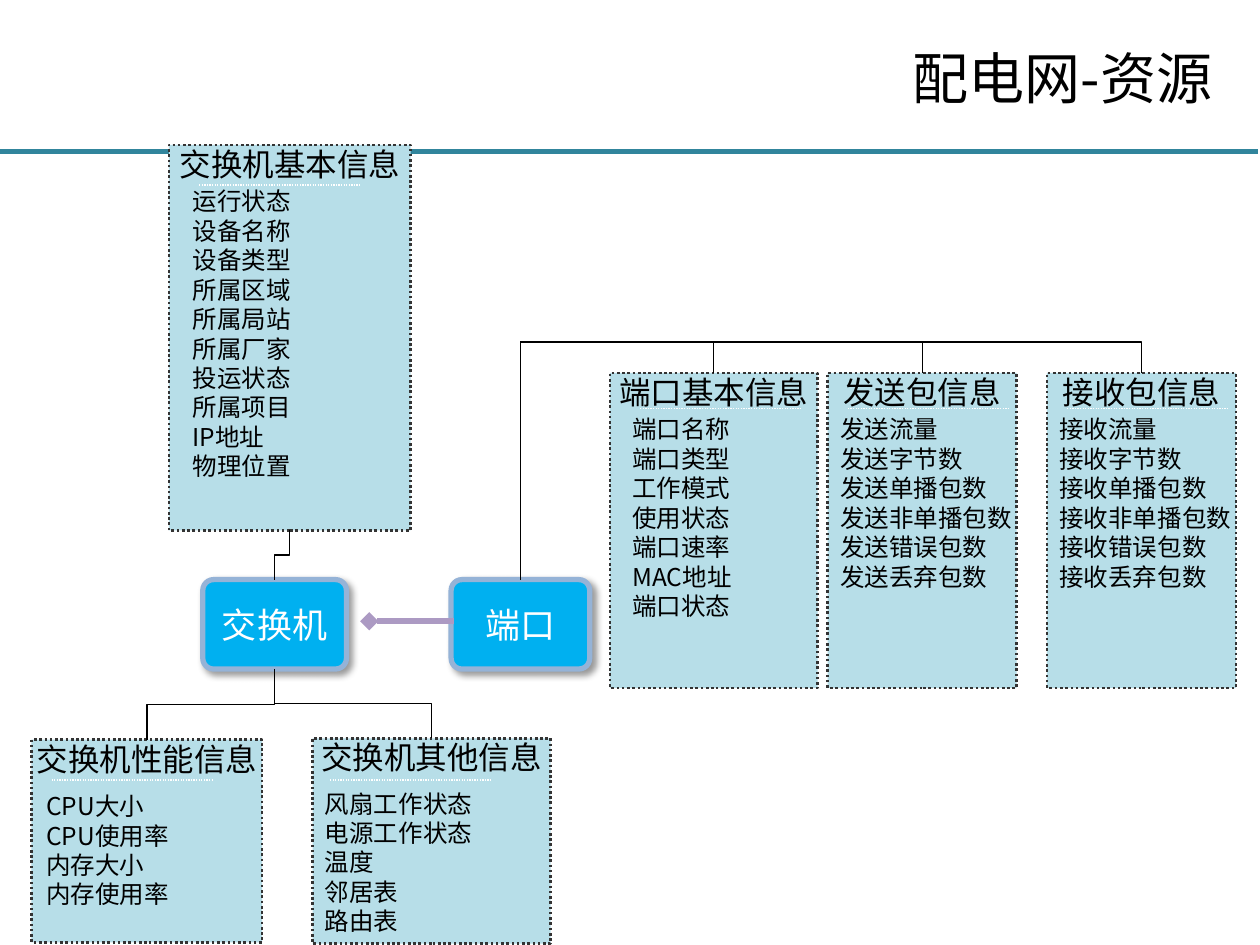
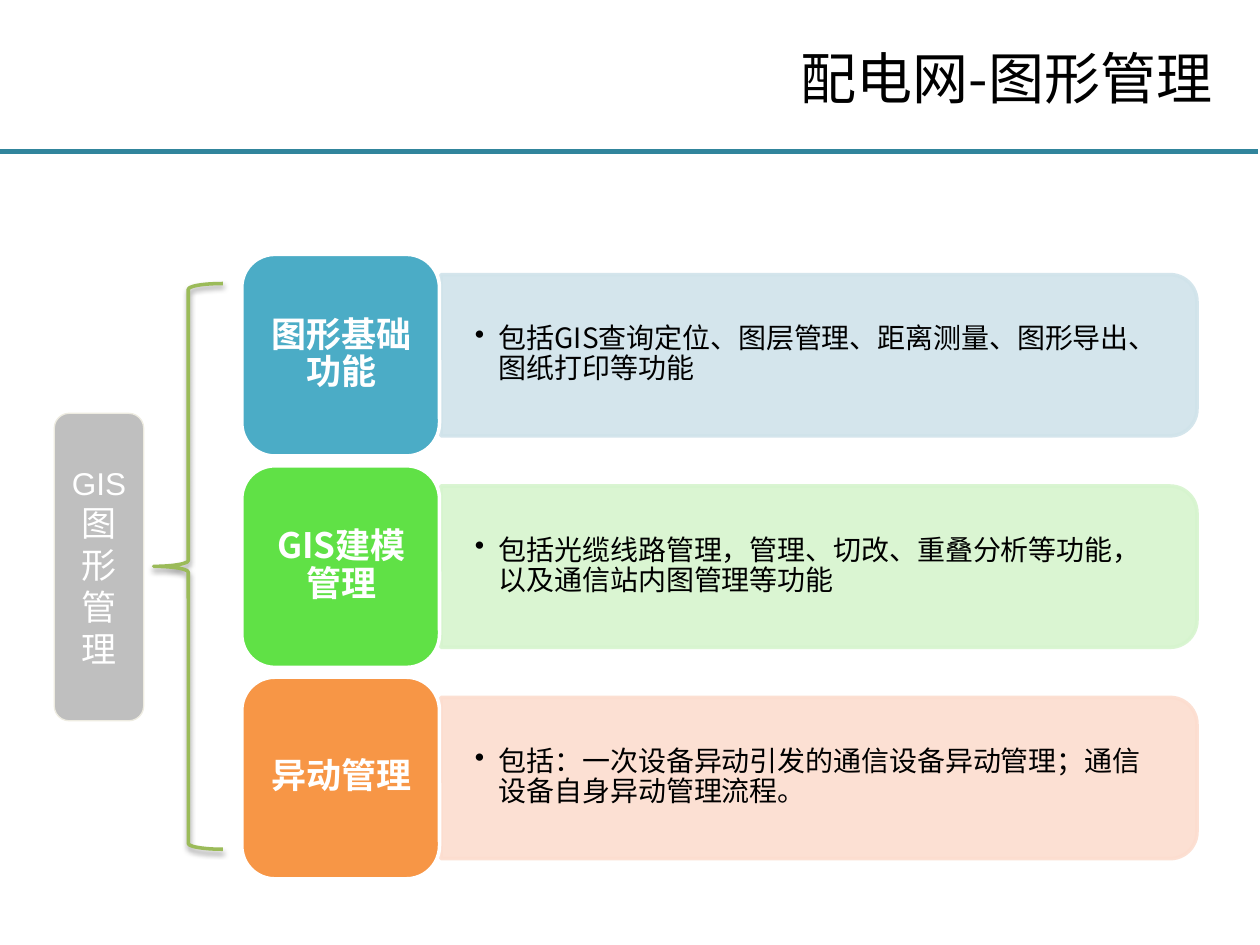
"""Build two slides on distribution network resources and graphics management."""
from dataclasses import dataclass

from lxml.etree import SubElement
from pptx import Presentation
from pptx.dml.color import RGBColor
from pptx.enum.dml import MSO_LINE
from pptx.enum.shapes import MSO_CONNECTOR, MSO_SHAPE
from pptx.enum.text import MSO_ANCHOR, PP_ALIGN
from pptx.oxml.ns import qn
from pptx.util import Pt

COLORS = {
    "black": "000000", "white": "FFFFFF", "band": "31859C",
    "panel": "B7DEE8", "panel_edge": "333333",
    "node": "00B0F0", "node_edge": "95B3D7", "link": "AC9AC3",
    "root": "BFBFBF", "root_edge": "EEECE1", "brace": "9BBB59",
    "basic": "4BACC6", "basic_pale": "D0E3EA",
    "model": "60E146", "model_pale": "D6F4CE",
    "change": "F79646", "change_pale": "FCDDCF",
}
CJK = "Noto Sans CJK SC"
LATIN = "Arial"
Box = tuple[float, float, float, float]
Point = tuple[float, float]


@dataclass
class Panel:
    heading: str
    box: Box
    rule: Point
    listing: Point
    items: list[str]
    font: str = CJK


@dataclass
class Node:
    label: str
    box: Box


@dataclass
class Elbow:
    start: Point
    end: Point
    bend: float


@dataclass
class Card:
    label: list[str]
    detail: str
    color: str


PANELS = [
    Panel("交换机基本信息", (96.5, 82.8, 138.2, 220.3), (113.8, 105.8), (103, 103),
          ["运行状态", "设备名称", "设备类型", "所属区域", "所属局站", "所属厂家",
           "投运状态", "所属项目", "IP地址", "物理位置"]),
    Panel("交换机性能信息", (18, 422.6, 131.8, 115.9), (29.5, 445.7), (19.4, 448.6),
          ["CPU大小", "CPU使用率", "内存大小", "内存使用率"]),
    Panel("端口基本信息", (348.5, 213.1, 118.8, 180), (365.8, 233.3), (354.2, 233.3),
          ["端口名称", "端口类型", "工作模式", "使用状态", "端口速率", "MAC地址", "端口状态"]),
    Panel("交换机其他信息", (178.6, 421.9, 136.1, 117.4), (188.6, 445.7), (178.6, 447.1),
          ["风扇工作状态", "电源工作状态", "温度", "邻居表", "路由表"], LATIN),
] + [
    Panel(f"{action}包信息", (left, 213.1, 108, 180), (left + 11.5, 233.3), (left, 233.3),
          [f"{action}{measure}" for measure in
           ("流量", "字节数", "单播包数", "非单播包数", "错误包数", "丢弃包数")])
    for action, left in (("发送", 473), ("接收", 598.3))
]
NODES = [
    Node("端口", (257.8, 331.2, 79.2, 51.1)),
    Node("交换机", (115.9, 331.2, 82.1, 51.1)),
]
ELBOWS = [
    Elbow((165.6, 303.1), (157, 331.2), 0.5),
    Elbow((157, 382.3), (84, 422.6), 0.5),
    Elbow((157, 382.3), (246.6, 421.9), 0.5),
] + [Elbow((297.4, 331.2), (panel_x, 213.1), 1.15) for panel_x in (652.3, 527, 407.9)]
CARDS = [
    Card(["图形基础功能"], "包括GIS查询定位、图层管理、距离测量、图形导出、图纸打印等功能", "basic"),
    Card(["GIS建模", "管理"],
         "包括光缆线路管理，管理、切改、重叠分析等功能，以及通信站内图管理等功能", "model"),
    Card(["异动管理"],
         "包括：一次设备异动引发的通信设备异动管理；通信设备自身异动管理流程。", "change"),
]
CARD_TOP, CARD_PITCH = 145.4, 120.8


def rgb(name: str) -> RGBColor:
    return RGBColor.from_string(COLORS[name])


def write(shape, lines: list[str], *, sizes: tuple = (14,), font: str = CJK,
          color: str = "black", bold: bool = False, align=PP_ALIGN.LEFT,
          anchor=MSO_ANCHOR.TOP, insets: Box = (7.2, 3.6, 7.2, 3.6),
          wrap: bool = True, spacing: float = 1.0, bullet: bool = False) -> None:
    frame = shape.text_frame
    frame.word_wrap = wrap
    frame.vertical_anchor = anchor
    (frame.margin_left, frame.margin_top,
     frame.margin_right, frame.margin_bottom) = map(Pt, insets)
    for index, line in enumerate(lines):
        paragraph = frame.paragraphs[0] if index == 0 else frame.add_paragraph()
        if bullet:
            paragraph.level = 1
            properties = paragraph._p.get_or_add_pPr()
            properties.set("marL", str(Pt(13.7)))
            properties.set("indent", str(Pt(-13.7)))
            SubElement(properties, qn("a:buChar"), char="•")
        paragraph.alignment = align
        paragraph.line_spacing = spacing
        run = paragraph.add_run()
        run.text = line
        run.font.size = Pt(sizes[min(index, len(sizes) - 1)])
        run.font.bold = bold
        run.font.name = font
        run.font.color.rgb = rgb(color)
        SubElement(run._r.get_or_add_rPr(), qn("a:ea"), typeface=CJK)


def text_box(slide, box: Box, lines: list[str], **style) -> None:
    write(slide.shapes.add_textbox(*map(Pt, box)), lines, **style)


def add_shape(slide, kind, box: Box, fill: str | None, edge: str, width: float):
    shape = slide.shapes.add_shape(kind, *map(Pt, box))
    shape.shadow.inherit = False
    if fill:
        shape.fill.solid()
        shape.fill.fore_color.rgb = rgb(fill)
    else:
        shape.fill.background()
    shape.line.color.rgb = rgb(edge)
    shape.line.width = Pt(width)
    return shape


def cast_shadow(shape, alpha: int, blur: float, distance: float, angle: int) -> None:
    effects = shape._element.spPr.find(qn("a:effectLst"))
    shadow = SubElement(effects, qn("a:outerShdw"), blurRad=str(Pt(blur)),
                        dist=str(Pt(distance)), dir=str(angle * 60000), rotWithShape="0")
    tint = SubElement(shadow, qn("a:srgbClr"), val=COLORS["black"])
    SubElement(tint, qn("a:alpha"), val=str(alpha * 1000))


def add_line(slide, start: Point, end: Point, color: str, width: float,
             kind=MSO_CONNECTOR.STRAIGHT):
    line = slide.shapes.add_connector(kind, *map(Pt, (*start, *end)))
    line.line.color.rgb = rgb(color)
    line.line.width = Pt(width)
    SubElement(line._element.spPr, qn("a:effectLst"))
    return line


def draw_elbow(slide, elbow: Elbow) -> None:
    (x1, y1), (x2, y2) = elbow.start, elbow.end
    center_x, center_y = (x1 + x2) / 2, (y1 + y2) / 2
    half_x, half_y = (x2 - x1) / 2, (y2 - y1) / 2
    line = add_line(slide, (center_x - half_y, center_y + half_x),
                    (center_x + half_y, center_y - half_x),
                    "black", 0.75, MSO_CONNECTOR.ELBOW)
    properties = line._element.spPr
    properties.find(qn("a:xfrm")).set("rot", str(90 * 60000))
    geometry = properties.find(qn("a:prstGeom"))
    adjustments = geometry.find(qn("a:avLst"))
    if adjustments is None:
        adjustments = SubElement(geometry, qn("a:avLst"))
    SubElement(adjustments, qn("a:gd"), name="adj1", fmla=f"val {round(elbow.bend * 100000)}")


def draw_panel(slide, panel: Panel) -> None:
    frame = add_shape(slide, MSO_SHAPE.RECTANGLE, panel.box, "panel", "panel_edge", 1.5)
    frame.line.dash_style = MSO_LINE.ROUND_DOT
    write(frame, [panel.heading], sizes=(18,), font=LATIN,
          align=PP_ALIGN.CENTER, insets=(0, 0, 0, 0))
    x, y = panel.rule
    rule = add_line(slide, (x, y), (x + 92, y), "white", 0.75)
    rule.line.dash_style = MSO_LINE.ROUND_DOT
    text_box(slide, (*panel.listing, 113, 17 * len(panel.items) + 7), panel.items,
             font=panel.font, insets=(7.2, 3.6, 0, 3.6))


def draw_node(slide, node: Node) -> None:
    shape = add_shape(slide, MSO_SHAPE.ROUNDED_RECTANGLE, node.box, "node", "node_edge", 3)
    shape.adjustments[0] = 0.12
    cast_shadow(shape, 40, 4, 3, 45)
    write(shape, [node.label], sizes=(20,), font=LATIN, color="white",
          align=PP_ALIGN.CENTER, anchor=MSO_ANCHOR.MIDDLE, wrap=False)


def draw_card(slide, card: Card, top: float) -> None:
    pale = f"{card.color}_pale"
    width, height = 92.2, 432
    center_x, center_y = 468, top + 57.6
    body = add_shape(slide, MSO_SHAPE.ROUND_2_SAME_RECTANGLE,
                     (center_x - width / 2, center_y - height / 2, width, height),
                     pale, pale, 2)
    body.rotation = 90
    for tint in body._element.spPr.iter(qn("a:srgbClr")):
        SubElement(tint, qn("a:alpha"), val="90000")
    text_box(slide, (252, top + 15.9, 427.7, 82.8), [card.detail], sizes=(16,),
             anchor=MSO_ANCHOR.MIDDLE, insets=(19.4, 10, 19.4, 10), spacing=0.9, bullet=True)
    add_shape(slide, MSO_SHAPE.ROUNDED_RECTANGLE, (138.2, top, 113, 115.2),
              card.color, "white", 2)
    text_box(slide, (144, top + 5.5, 102.2, 103.7), card.label, sizes=(20,),
             color="white", bold=True, align=PP_ALIGN.CENTER, anchor=MSO_ANCHOR.MIDDLE,
             insets=(5.8, 2.9, 5.8, 2.9), spacing=0.9)


def titled_slide(deck, title: str):
    slide = deck.slides.add_slide(deck.slide_layouts[6])
    add_line(slide, (0, 86.4), (718.6, 86.4), "band", 3)
    text_box(slide, (57.6, 11.5, 642.2, 65.5), [title], sizes=(32,),
             align=PP_ALIGN.RIGHT, anchor=MSO_ANCHOR.MIDDLE)
    return slide


def build_resources(deck) -> None:
    slide = titled_slide(deck, "配电网-资源")
    for panel in PANELS:
        draw_panel(slide, panel)
    for node in NODES:
        draw_node(slide, node)
    for elbow in ELBOWS:
        draw_elbow(slide, elbow)
    ownership = add_line(slide, (211, 355), (259.2, 355), "link", 3.5)
    SubElement(ownership.line._get_or_add_ln(), qn("a:headEnd"), type="diamond")


def build_graphics(deck) -> None:
    slide = titled_slide(deck, "配电网-图形管理")
    for index, card in enumerate(CARDS):
        draw_card(slide, card, CARD_TOP + index * CARD_PITCH)
    root = add_shape(slide, MSO_SHAPE.ROUNDED_RECTANGLE, (31, 236.2, 51.1, 175.7),
                     "root", "root_edge", 0.75)
    write(root, ["GIS", "图形管理"], sizes=(18, 20), font=LATIN, color="white",
          align=PP_ALIGN.CENTER, anchor=MSO_ANCHOR.MIDDLE, insets=(6, 3.6, 6, 3.6))
    brace = add_shape(slide, MSO_SHAPE.LEFT_BRACE, (87.8, 162, 39.6, 323.3),
                      None, "brace", 2)
    cast_shadow(brace, 38, 3.1, 1.6, 90)


def main() -> None:
    deck = Presentation()
    deck.slide_width, deck.slide_height = Pt(720), Pt(540)
    build_resources(deck)
    build_graphics(deck)
    deck.save("out.pptx")


if __name__ == "__main__":
    main()
